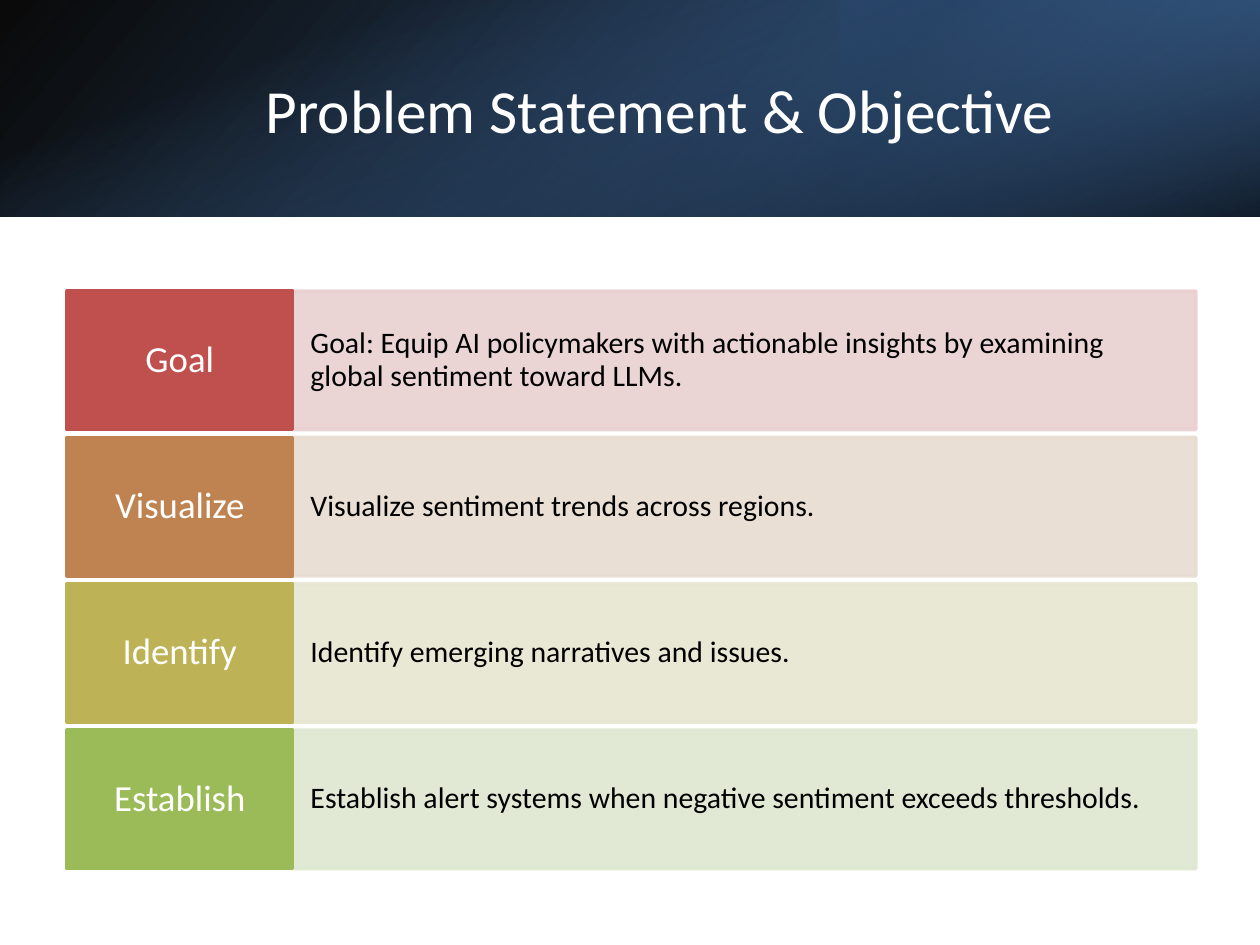
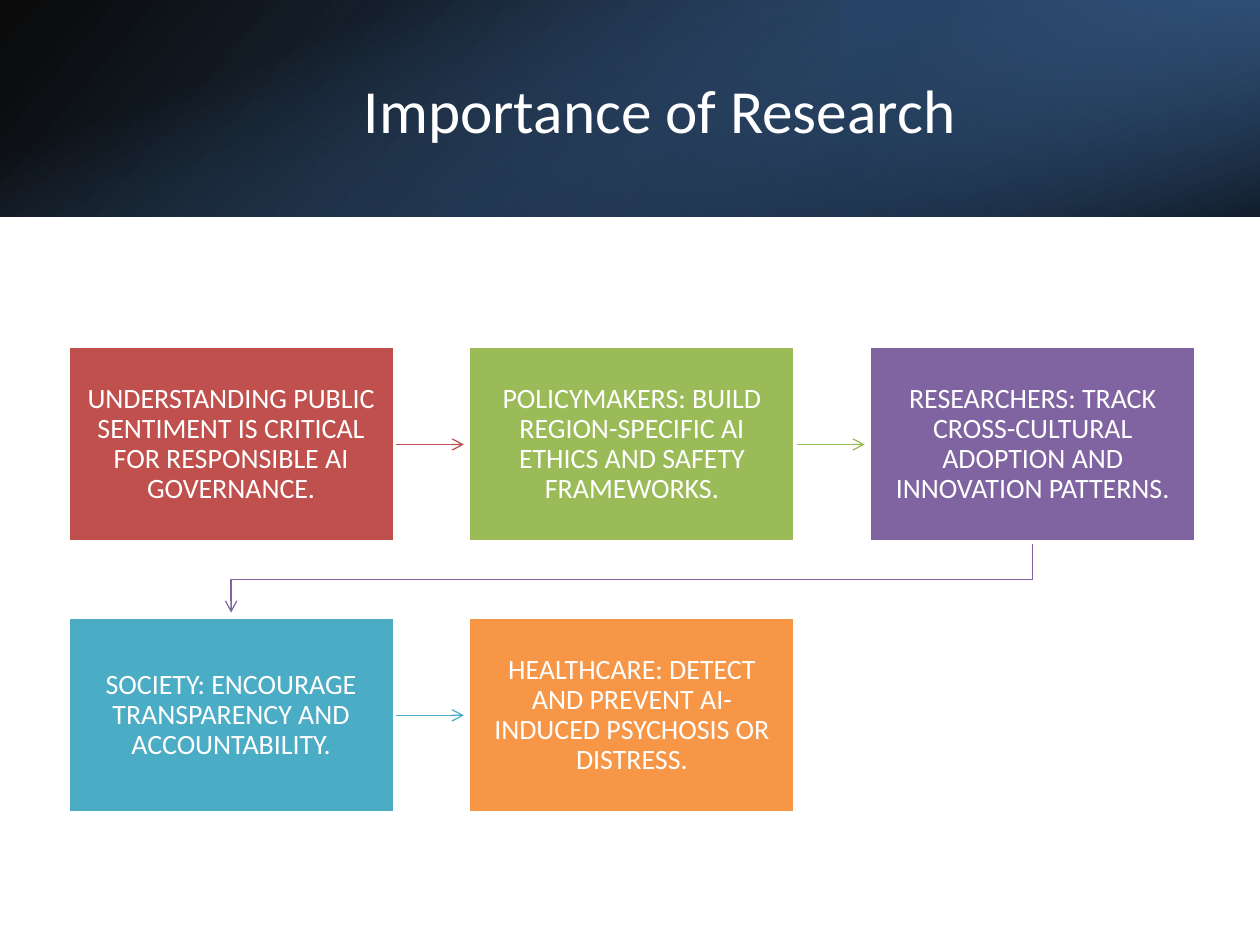
from lxml.etree import SubElement
from pptx import Presentation
from pptx.dml.color import RGBColor
from pptx.enum.shapes import MSO_CONNECTOR, MSO_SHAPE
from pptx.enum.text import MSO_ANCHOR, PP_ALIGN
from pptx.oxml.ns import qn
from pptx.util import Cm, Pt

FONT = "Calibri"
WHITE = RGBColor(0xFF, 0xFF, 0xFF)
BLACK = RGBColor(0x00, 0x00, 0x00)
NAVY = RGBColor(0x25, 0x40, 0x61)
STEEL = RGBColor(0x37, 0x60, 0x92)
BLUE = RGBColor(0x4F, 0x81, 0xBD)
RED = RGBColor(0xC0, 0x50, 0x4D)
COPPER = RGBColor(0xBE, 0x83, 0x51)
OLIVE = RGBColor(0xBD, 0xB2, 0x55)
GREEN = RGBColor(0x9B, 0xBB, 0x59)
PURPLE = RGBColor(0x80, 0x64, 0xA2)
TEAL = RGBColor(0x4B, 0xAC, 0xC6)
ORANGE = RGBColor(0xF7, 0x96, 0x46)
PALE_RED = RGBColor(0xE8, 0xD0, 0xD0)
PALE_COPPER = RGBColor(0xE8, 0xDC, 0xD0)
PALE_OLIVE = RGBColor(0xE7, 0xE6, 0xD1)
PALE_GREEN = RGBColor(0xDE, 0xE7, 0xD1)

SLIDE_W, SLIDE_H, BAND_H = 25.4, 19.05, 4.37
BANDS = [
    (0, 0, SLIDE_W, BAND_H, 0, True, 140, [(0, BLACK, 96), (1, STEEL, 100)]),
    (16.93, 0, 8.47, BAND_H, 180, True, 320, [(0.19, NAVY, 68), (1, BLUE, 79)]),
    ((SLIDE_W - BAND_H) / 2, (BAND_H - SLIDE_W) / 2, BAND_H, SLIDE_W, 90, False, 340,
     [(0.23, BLUE, 0), (0.99, BLACK, 74)]),
]


def set_text(sp, text, size, color, align, inset_x, inset_y, spacing=0.9):
    tf = sp.text_frame
    tf.word_wrap = True
    tf.vertical_anchor = MSO_ANCHOR.MIDDLE
    tf.margin_left = tf.margin_right = Cm(inset_x)
    tf.margin_top = tf.margin_bottom = Cm(inset_y)
    p = tf.paragraphs[0]
    p.text = text
    p.alignment = align
    p.line_spacing = spacing
    p.font.name = FONT
    p.font.size = Pt(size)
    p.font.color.rgb = color


def add_rect(s, x, y, w, h, fill, line):
    sp = s.shapes.add_shape(MSO_SHAPE.RECTANGLE, Cm(x), Cm(y), Cm(w), Cm(h))
    sp.shadow.inherit = False
    sp.fill.solid()
    sp.fill.fore_color.rgb = fill
    sp.line.color.rgb = line
    sp.line.width = Pt(2)
    return sp


prs = Presentation()
prs.slide_width, prs.slide_height = Cm(SLIDE_W), Cm(SLIDE_H)

slides = []
for title in ["Problem Statement & Objective", "Importance of Research"]:
    s = prs.slides.add_slide(prs.slide_layouts[6])
    slides.append(s)
    for x, y, w, h, rotation, flipped, angle, stops in BANDS:
        sp = s.shapes.add_shape(MSO_SHAPE.RECTANGLE, Cm(x), Cm(y), Cm(w), Cm(h))
        sp.shadow.inherit = False
        sp.line.fill.background()
        sp.rotation = rotation
        if flipped:
            sp.element.spPr.find(qn("a:xfrm")).set("flipH", "1")
        sp.fill.gradient()
        sp.fill.gradient_angle = 360 - angle
        for stop, (position, color, _) in zip(sp.fill.gradient_stops, stops):
            stop.position = position
            stop.color.rgb = color
        for clr, (_, _, opacity) in zip(sp.element.spPr.iter(qn("a:srgbClr")), stops):
            SubElement(clr, qn("a:alpha"), val=str(opacity * 1000))
    tb = s.shapes.add_textbox(Cm(2.84), Cm(0.97), Cm(20.93), Cm(2.44))
    set_text(tb, title, 35, WHITE, PP_ALIGN.CENTER, 0.25, 0.13, 1.0)

objective, importance = slides

ROWS = [
    ("Goal", RED, PALE_RED,
     "Goal: Equip AI policymakers with actionable insights by examining global sentiment toward LLMs."),
    ("Visualize", COPPER, PALE_COPPER, "Visualize sentiment trends across regions."),
    ("Identify", OLIVE, PALE_OLIVE, "Identify emerging narratives and issues."),
    ("Establish", GREEN, PALE_GREEN,
     "Establish alert systems when negative sentiment exceeds thresholds."),
]
ROW_X, ROW_Y, ROW_H, ROW_PITCH = 1.35, 5.87, 2.79, 2.95
LABEL_W, DETAIL_W = 4.55, 18.21

for i, (label, color, pale, detail) in enumerate(ROWS):
    y = ROW_Y + i * ROW_PITCH
    sp = add_rect(objective, ROW_X + LABEL_W, y, DETAIL_W, ROW_H, pale, pale)
    for clr in sp.element.spPr.iter(qn("a:srgbClr")):
        SubElement(clr, qn("a:alpha"), val="90000")
    set_text(sp, detail, 17, BLACK, PP_ALIGN.LEFT, 0.36, 0.71)
    sp = add_rect(objective, ROW_X, y, LABEL_W, ROW_H, color, color)
    set_text(sp, label, 21, WHITE, PP_ALIGN.CENTER, 0.23, 0.28)

CARDS = [
    ("UNDERSTANDING PUBLIC SENTIMENT IS CRITICAL FOR RESPONSIBLE AI GOVERNANCE.", RED),
    ("POLICYMAKERS: BUILD REGION-SPECIFIC AI ETHICS AND SAFETY FRAMEWORKS.", GREEN),
    ("RESEARCHERS: TRACK CROSS-CULTURAL ADOPTION AND INNOVATION PATTERNS.", PURPLE),
    ("SOCIETY: ENCOURAGE TRANSPARENCY AND ACCOUNTABILITY.", TEAL),
    ("HEALTHCARE: DETECT AND PREVENT AI-INDUCED PSYCHOSIS OR DISTRESS.", ORANGE),
]
COLUMNS = 3
CARD_X, CARD_Y, CARD_W, CARD_H = 1.37, 6.99, 6.58, 3.94
PITCH_X, PITCH_Y = 8.08, 5.46
ARROW_GAP = 0.1

for i, (text, color) in enumerate(CARDS):
    row, col = divmod(i, COLUMNS)
    x, y = CARD_X + col * PITCH_X, CARD_Y + row * PITCH_Y
    if i < len(CARDS) - 1:
        if col < COLUMNS - 1:
            mid_y = Cm(y + CARD_H / 2)
            arrow = importance.shapes.add_connector(
                MSO_CONNECTOR.STRAIGHT, Cm(x + CARD_W), mid_y, Cm(x + PITCH_X - ARROW_GAP), mid_y)
            SubElement(arrow.element.spPr, qn("a:effectLst"))
        else:
            start_x, end_x = Cm(x + CARD_W / 2), Cm(CARD_X + CARD_W / 2)
            turn_y = Cm(y + (CARD_H + PITCH_Y) / 2)
            fb = importance.shapes.build_freeform(start_x, Cm(y + CARD_H))
            fb.add_line_segments(
                [(start_x, turn_y), (end_x, turn_y), (end_x, Cm(y + PITCH_Y - ARROW_GAP))], close=False)
            arrow = fb.convert_to_shape()
            arrow.shadow.inherit = False
            arrow.fill.background()
        arrow.line.color.rgb = color
        arrow.line.width = Pt(0.75)
        SubElement(arrow.element.spPr.find(qn("a:ln")), qn("a:tailEnd"), type="arrow")
    sp = add_rect(importance, x, y, CARD_W, CARD_H, color, WHITE)
    set_text(sp, text, 16, WHITE, PP_ALIGN.CENTER, 0.33, 0.33)

prs.save("out.pptx")
